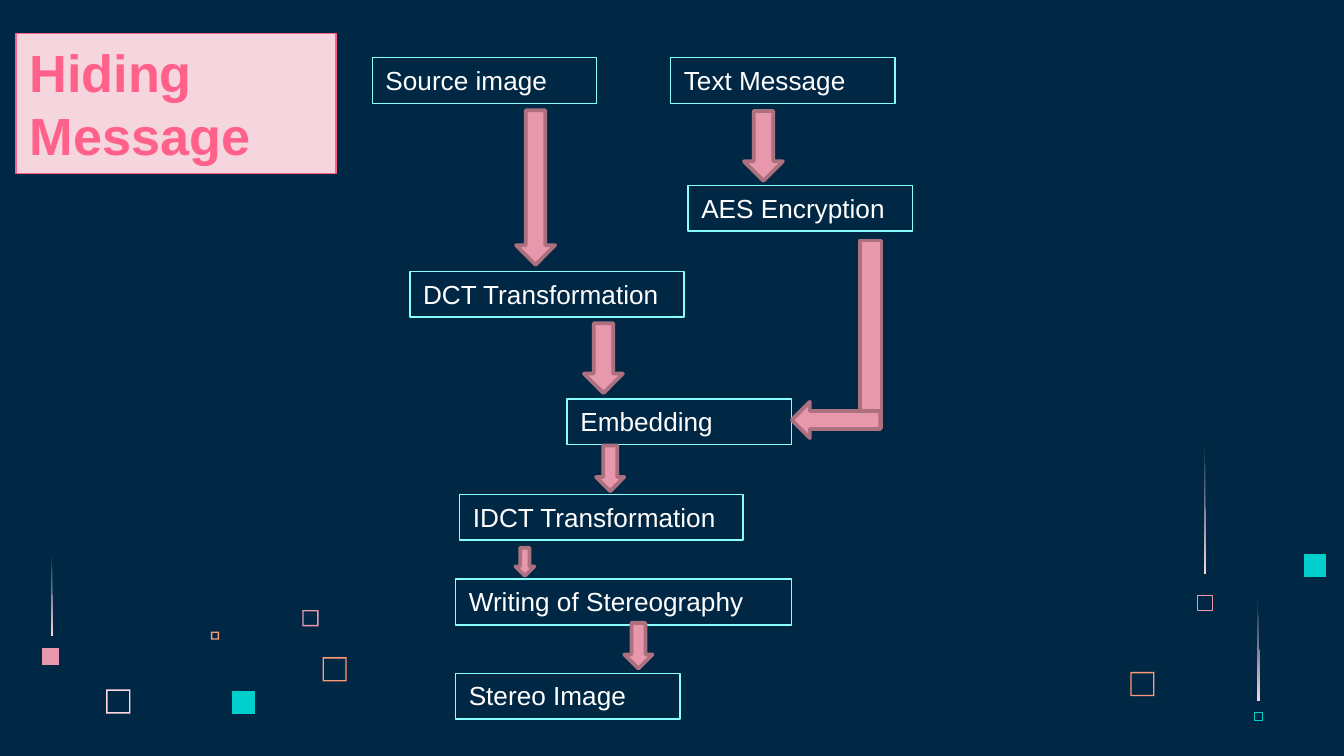
from lxml import etree
from pptx import Presentation
from pptx.dml.color import RGBColor
from pptx.enum import shapes, text
from pptx.oxml.ns import qn
from pptx.util import Inches, Pt

NAVY = RGBColor(0x00, 0x28, 0x45)
WHITE = RGBColor(0xFF, 0xFF, 0xFF)
AQUA = RGBColor(0x86, 0xFF, 0xFD)
TEAL = RGBColor(0x00, 0xCF, 0xCC)
ROSE = RGBColor(0xE8, 0x98, 0xAC)
DARK_ROSE = RGBColor(0xAC, 0x70, 0x7F)
BLUSH = RGBColor(0xFF, 0xD6, 0xE1)
PALE_PINK = RGBColor(0xF6, 0xD6, 0xDE)
HOT_PINK = RGBColor(0xFF, 0x61, 0x8B)
ORANGE = RGBColor(0xFF, 0x99, 0x73)


def write_text(shape, lines, size, color, bold=False):
    frame = shape.text_frame
    frame.word_wrap = True
    frame.auto_size = text.MSO_AUTO_SIZE.NONE
    frame.vertical_anchor = text.MSO_ANCHOR.TOP
    for index, line in enumerate(lines):
        paragraph = frame.paragraphs[0] if index == 0 else frame.add_paragraph()
        paragraph.text = line
        paragraph.alignment = text.PP_ALIGN.LEFT
        paragraph.space_before = Pt(0)
        paragraph.line_spacing = 1.0
        paragraph.font.name = "Arial"
        paragraph.font.size = Pt(size)
        paragraph.font.bold = bold
        paragraph.font.color.rgb = color


def add_outline(*contours):
    builder = None
    for contour in contours:
        points = [(Inches(x), Inches(y)) for x, y in contour]
        if builder is None:
            builder = slide.shapes.build_freeform(*points[0])
        else:
            builder.move_to(*points[0])
        builder.add_line_segments(points[1:], close=True)
    shape = builder.convert_to_shape()
    shape.shadow.inherit = False
    return shape


# Widescreen slide, 16:9
presentation = Presentation()
presentation.slide_width = Inches(10)
presentation.slide_height = Inches(10 * 9 / 16)
slide = presentation.slides.add_slide(presentation.slide_layouts[5])
slide.background.fill.solid()
slide.background.fill.fore_color.rgb = NAVY

# Decorative squares: left, top, side, colour, style
squares = [
    (0.79, 5.13, 0.18, BLUSH, "frame"),
    (2.25, 4.54, 0.12, ROSE, "frame"),
    (1.57, 4.70, 0.06, ORANGE, "frame"),
    (2.40, 4.89, 0.18, ORANGE, "frame"),
    (8.41, 5.00, 0.18, ORANGE, "frame"),
    (1.73, 5.14, 0.17, TEAL, "solid"),
    (9.70, 4.12, 0.17, TEAL, "solid"),
    (0.31, 4.82, 0.13, ROSE, "solid"),
    (8.91, 4.43, 0.11, ROSE, "line"),
    (9.33, 5.30, 0.06, TEAL, "line"),
]
for left, top, side, color, style in squares:
    right, bottom = left + side, top + side
    contours = [[(left, top), (right, top), (right, bottom), (left, bottom)]]
    if style == "frame":
        edge = 0.01
        contours.append([(left + edge, top + edge), (left + edge, bottom - edge),
                         (right - edge, bottom - edge), (right - edge, top + edge)])
    square = add_outline(*contours)
    if style == "line":
        square.fill.background()
        square.line.color.rgb = color
        square.line.width = Pt(0.23)
    else:
        square.fill.solid()
        square.fill.fore_color.rgb = color
        square.line.fill.background()

# Decorative trails that fade out towards the top
for left, top, height in [(8.96, 3.29, 0.98), (0.38, 4.12, 0.61), (9.36, 4.45, 0.76)]:
    trail = add_outline([(left, top), (left, top + height), (left + 0.01, top + height)])
    trail.line.fill.background()
    trail.fill.gradient()
    trail.fill.gradient_angle = 270
    for stop in trail.fill.gradient_stops:
        stop.color.rgb = BLUSH
    first_color = next(trail.fill._xPr.iter(qn("a:srgbClr")))
    etree.SubElement(first_color, qn("a:alpha")).set("val", "0")

# Process steps
steps = [
    ("Source image", 2.77, 0.43, 1.67),
    ("Text Message", 4.99, 0.43, 1.67),
    ("AES Encryption", 5.12, 1.38, 1.67),
    ("DCT Transformation", 3.05, 2.02, 2.04),
    ("Embedding", 4.22, 2.97, 1.67),
    ("IDCT Transformation", 3.42, 3.68, 2.11),
    ("Writing of Stereography", 3.39, 4.31, 2.50),
    ("Stereo Image", 3.39, 5.01, 1.67),
]
for label, left, top, width in steps:
    step = slide.shapes.add_shape(shapes.MSO_SHAPE.RECTANGLE, Inches(left), Inches(top),
                                  Inches(width), Inches(0.34))
    step.shadow.inherit = False
    step.fill.background()
    step.line.color.rgb = AQUA
    step.line.width = Pt(0.75)
    write_text(step, [label], size=14, color=WHITE)

# Arrows between steps; the plain bar is the stem of the bent arrow
ARROW, BAR = shapes.MSO_SHAPE.RIGHT_ARROW, shapes.MSO_SHAPE.RECTANGLE
arrows = [
    (ARROW, 90, 3.41, 1.25, 1.15, 0.29),
    (ARROW, 90, 5.42, 0.94, 0.52, 0.29),
    (ARROW, 90, 4.23, 2.52, 0.52, 0.29),
    (ARROW, 90, 4.58, 4.70, 0.34, 0.21),
    (ARROW, 90, 3.80, 4.11, 0.21, 0.14),
    (ARROW, 90, 4.37, 3.38, 0.34, 0.21),
    (BAR, 0, 6.40, 1.79, 0.16, 1.39),
    (ARROW, 180, 5.89, 2.99, 0.66, 0.27),
]
for preset, rotation, *box in arrows:
    arrow = slide.shapes.add_shape(preset, *map(Inches, box))
    arrow.rotation = rotation
    arrow.shadow.inherit = False
    arrow.fill.solid()
    arrow.fill.fore_color.rgb = ROSE
    arrow.line.color.rgb = DARK_ROSE
    arrow.line.width = Pt(2)

# Title
title = slide.shapes.title
title.left, title.top = Inches(0.12), Inches(0.25)
title.width, title.height = Inches(2.38), Inches(1.04)
title.fill.solid()
title.fill.fore_color.rgb = PALE_PINK
title.line.color.rgb = HOT_PINK
title.line.width = Pt(0.75)
write_text(title, ["Hiding", "Message"], size=28, color=HOT_PINK, bold=True)

presentation.save("out.pptx")
